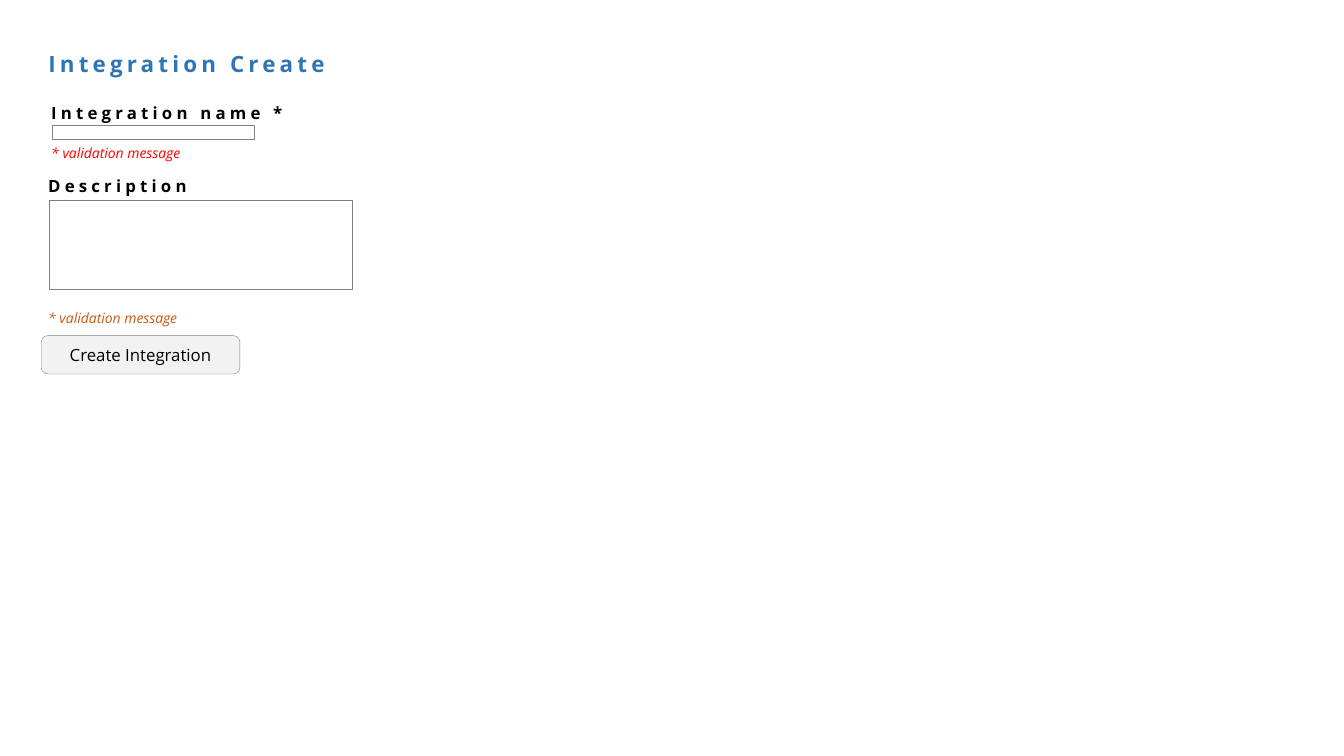
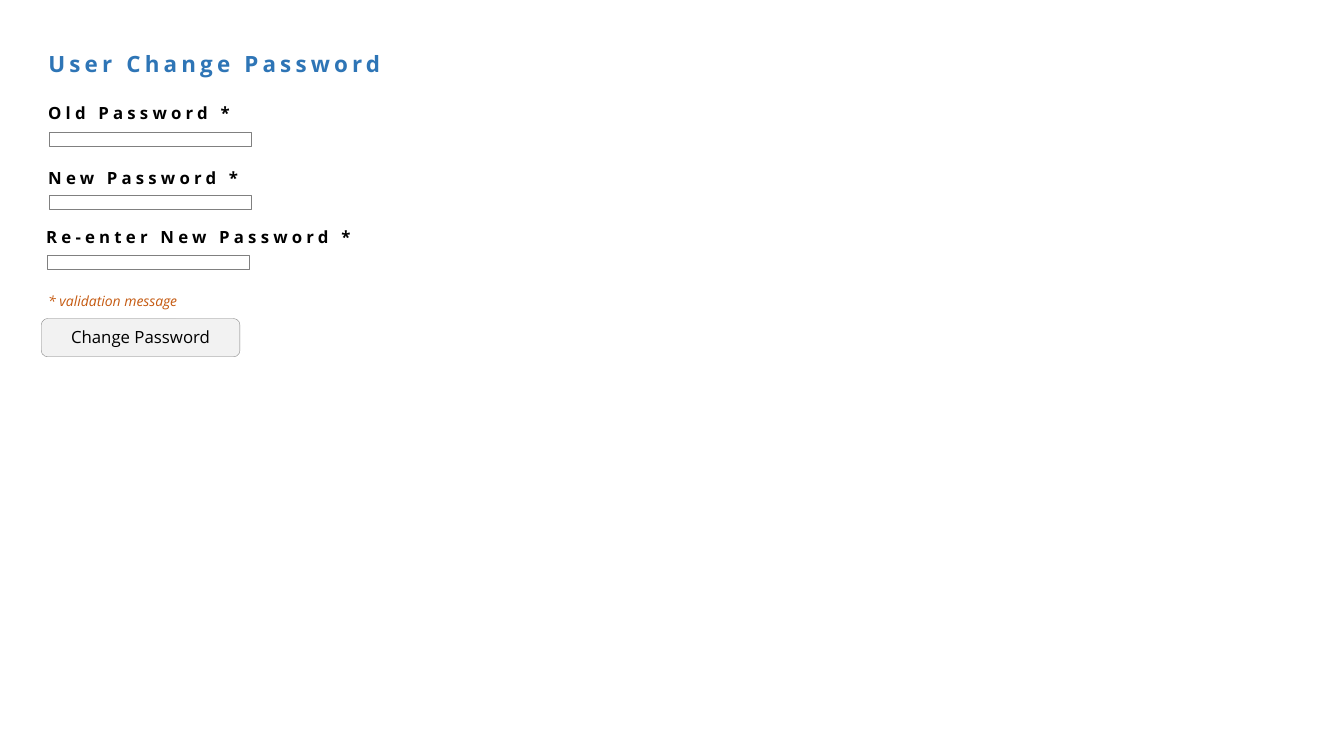
"""Build two form mockups: create an integration, change a password."""
from pptx import Presentation
from pptx.dml.color import RGBColor
from pptx.enum.shapes import MSO_SHAPE as Shape
from pptx.enum.text import MSO_ANCHOR as Anchor, PP_ALIGN as Align
from pptx.util import Inches, Pt

FONT = "Open Sans"
BLUE, BLACK, RED, RUST = "2E75B6", "000000", "FF0000", "C55A11"
WHITE, PALE, GRAY = "FFFFFF", "F2F2F2", "808080"
LEFT, PAD = 0.38, 0.11
NOTE = "* validation message"

FORMS = [
    {
        "title": ("Integration Create", 3.05),
        "labels": [("Integration name *", 0.41, 1, 3),
                   ("Description", LEFT, 1.72, 3)],
        "fields": [(0.41, 1.24, 2, 0.14), (LEFT, 1.99, 3, 0.88)],
        "notes": [(0.41, 1.41, RED), (LEFT, 3.05, RUST)],
        "button": ("Create Integration", 3.33),
    },
    {
        "title": ("User Change Password", 4.36),
        "labels": [("Old Password *", LEFT, 1, 3),
                   ("New Password *", LEFT, 1.64, 3),
                   ("Re-enter New Password *", 0.36, 2.23, 3.65)],
        "fields": [(LEFT, 1.31, 2, 0.14), (LEFT, 1.94, 2, 0.14),
                   (0.36, 2.53, 2, 0.14)],
        "notes": [(LEFT, 2.88, RUST)],
        "button": ("Change Password", 3.16),
    },
]


def color(code):
    """Turn a hex string into a colour."""
    return RGBColor.from_string(code)


def write(shape, text, size=12, ink=BLACK, bold=False, italic=False,
          track=0, align=Align.LEFT, top=0.02, base=0.03):
    """Put one formatted line of text into a shape."""
    frame = shape.text_frame
    frame.word_wrap = True
    frame.vertical_anchor = Anchor.MIDDLE
    frame.margin_left = frame.margin_right = Inches(0.1)
    frame.margin_top, frame.margin_bottom = Inches(top), Inches(base)
    line = frame.paragraphs[0]
    line.alignment = align
    run = line.add_run()
    run.text = text
    font = run.font
    font.name, font.size = FONT, Pt(size)
    font.bold, font.italic = bold, italic
    font.color.rgb = color(ink)
    if track:
        run._r.get_or_add_rPr().set("spc", str(track * 100))


def label(slide, text, box, **style):
    """Add a text box."""
    write(slide.shapes.add_textbox(*map(Inches, box)), text, **style)


def panel(slide, kind, box, fill):
    """Add a filled shape with a thin gray outline."""
    shape = slide.shapes.add_shape(kind, *map(Inches, box))
    shape.shadow.inherit = False
    shape.fill.solid()
    shape.fill.fore_color.rgb = color(fill)
    shape.line.color.rgb = color(GRAY)
    shape.line.width = Pt(0.25)
    return shape


def heading(slide, text, width):
    """Place and fill the title."""
    title = slide.shapes.title
    title.left, title.top = Inches(LEFT), Inches(0.48)
    title.width, title.height = Inches(width), Inches(0.32)
    write(title, text, size=16, ink=BLUE, bold=True, track=3)


def build(deck, form):
    """Add one form slide."""
    slide = deck.slides.add_slide(deck.slide_layouts.get_by_name("Title Only"))
    heading(slide, *form["title"])
    for text, left, top, width in form["labels"]:
        label(slide, text, (left, top, width, 0.25), bold=True, track=3)
    for left, top, width, height in form["fields"]:
        panel(slide, Shape.RECTANGLE, (left + PAD, top, width, height), WHITE)
    for left, top, ink in form["notes"]:
        label(slide, NOTE, (left, top, 3, 0.22), size=10, ink=ink, italic=True)
    text, top = form["button"]
    button = panel(slide, Shape.ROUNDED_RECTANGLE, (0.41, top, 1.97, 0.38), PALE)
    write(button, text, align=Align.CENTER, top=0, base=0.01)


deck = Presentation()
deck.slide_width, deck.slide_height = Inches(13.33), Inches(7.5)
for form in FORMS:
    build(deck, form)
deck.save("out.pptx")
